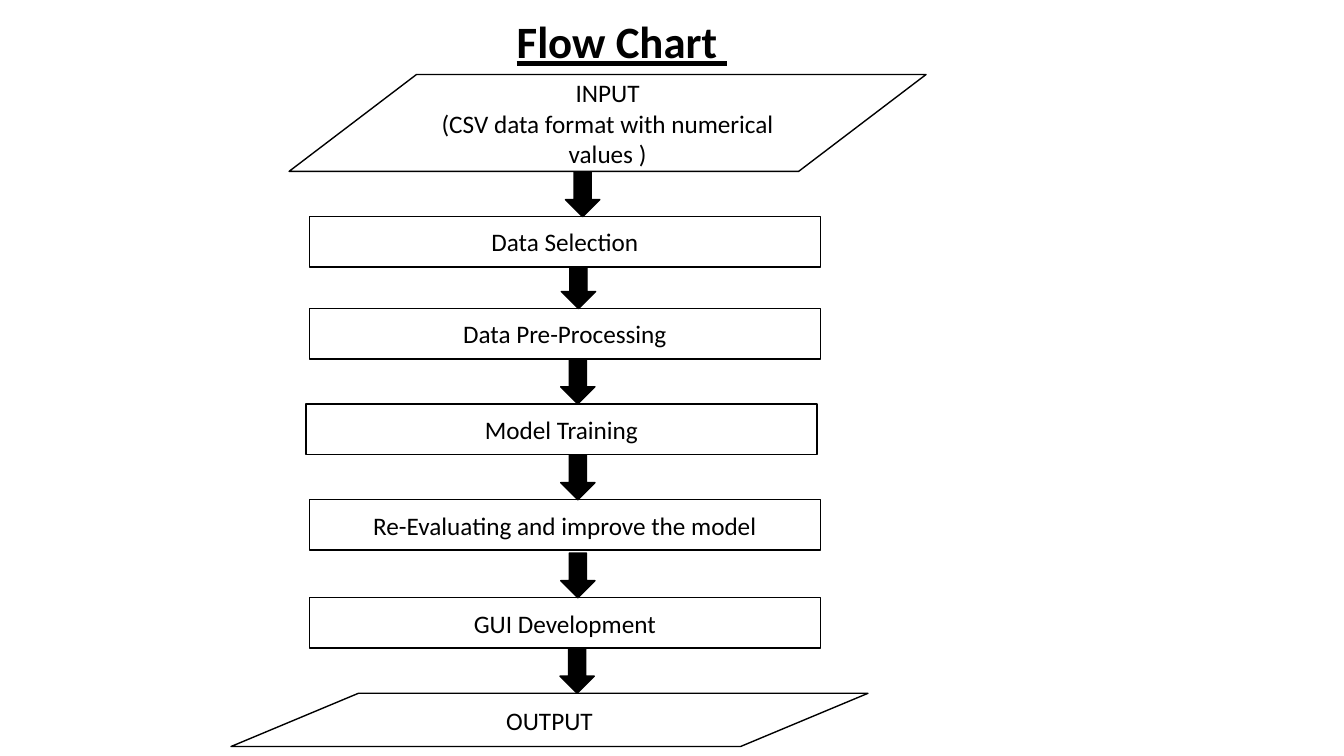
from dataclasses import dataclass

from pptx import Presentation
from pptx import util as u
from pptx.dml.color import RGBColor
from pptx.enum import shapes, text

Pt = u.Pt
MSO = shapes.MSO_SHAPE


@dataclass(frozen=True)
class Theme:
    font: str = "Calibri"
    ink: RGBColor = RGBColor(0, 0, 0)
    paper: RGBColor = RGBColor(255, 255, 255)
    title_size: int = 32
    body_size: int = 18
    line_width: int = 1


class Deck:
    """Holds the style and the current slide."""

    def __init__(self, theme, s):
        self.theme, self.s = theme, s

    def style_runs(self, tf, size, **flags):
        for p in tf.paragraphs:
            for r in p.runs:
                r.font.name, r.font.size = self.theme.font, Pt(size)
                r.font.color.rgb = self.theme.ink
                for name, value in flags.items():
                    setattr(r.font, name, value)

    def title(self, words, *box):
        tf = self.s.shapes.add_textbox(*map(Pt, box)).text_frame
        tf.word_wrap = True
        tf.text = words
        self.style_runs(tf, self.theme.title_size, bold=True, underline=True)

    def shape(self, kind, fill, *box):
        sp = self.s.shapes.add_shape(kind, *map(Pt, box))
        sp.shadow.inherit = False
        sp.fill.solid()
        sp.fill.fore_color.rgb = fill
        sp.line.color.rgb = self.theme.ink
        sp.line.width = Pt(self.theme.line_width)
        return sp

    def step(self, kind, words, *box):
        tf = self.shape(kind, self.theme.paper, *box).text_frame
        tf.word_wrap = True
        tf.vertical_anchor = text.MSO_ANCHOR.MIDDLE
        tf.text = words
        for p in tf.paragraphs:
            p.alignment = text.PP_ALIGN.CENTER
        self.style_runs(tf, self.theme.body_size)

    def arrow(self, left, top, bottom):
        """Ends at bottom, filling the gap up to the usual arrow height."""
        height = min(ARROW_H, bottom - top)
        self.shape(MSO.DOWN_ARROW, self.theme.ink,
                   left, bottom - height, ARROW_W, height)


prs = Presentation()
prs.slide_width, prs.slide_height = Pt(960), Pt(540)
deck = Deck(Theme(), prs.slides.add_slide(prs.slide_layouts[6]))

# Sizes shared by the flow
ARROW_W, ARROW_H = 24.5, 32
DATA, PROCESS = MSO.FLOWCHART_DATA, MSO.FLOWCHART_PROCESS
WIDTHS = {DATA: 455, PROCESS: 365}

# Steps: kind, words, left, top, height, left of the arrow that follows
steps = [
    (DATA, "INPUT\n(CSV data format with numerical values )", 206.5, 53.2, 69.2, 404),
    (PROCESS, "Data Selection", 221, 154.8, 36, 401),
    (PROCESS, "Data Pre-Processing", 221, 220.5, 36, 400.5),
    (PROCESS, "Model Training", 218.5, 288.5, 36, 400.5),
    (PROCESS, "Re-Evaluating and improve the model", 221, 357, 36, 400.5),
    (PROCESS, "GUI Development", 221, 427, 36, 400),
    (DATA, "OUTPUT", 165, 495.2, 38, None),
]

# Title
deck.title("Flow Chart ", 362, 6.5, 173, 46)

# Flow from input to output
for kind, words, left, top, height, _ in steps:
    deck.step(kind, words, left, top, WIDTHS[kind], height)

# Arrows between neighbouring steps
for (*_, top, height, left), (_, _, _, next_top, *_) in zip(steps, steps[1:]):
    deck.arrow(left, top + height, next_top)

prs.save("out.pptx")
